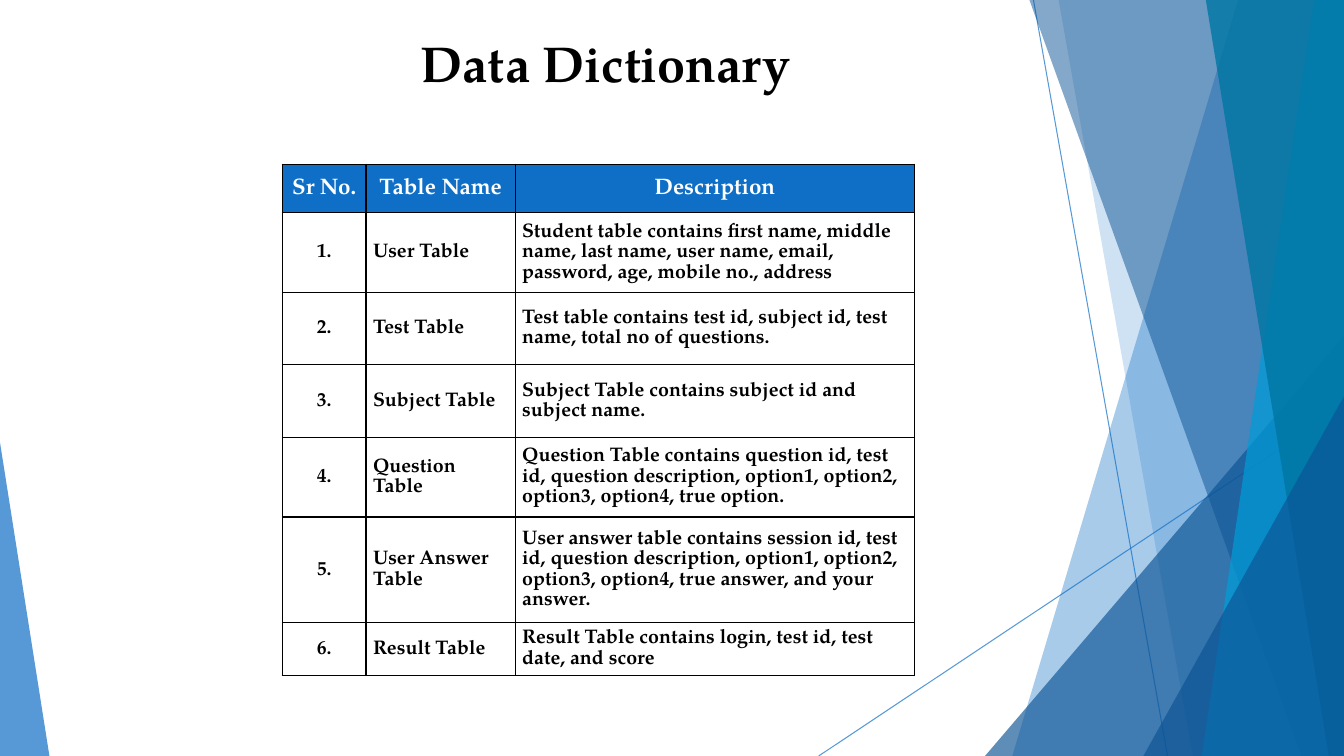
from lxml import etree
from pptx import Presentation
from pptx.dml.color import RGBColor
from pptx.enum import shapes, text
from pptx.oxml import ns
from pptx.util import Inches, Pt

BLUE = RGBColor(0x0F, 0x6F, 0xC6)
NAVY = RGBColor(0x0B, 0x53, 0x94)
CYAN = RGBColor(0x00, 0x9D, 0xD9)
TEAL = RGBColor(0x00, 0x76, 0xA3)
BLACK = RGBColor(0, 0, 0)
WHITE = RGBColor(0xFF, 0xFF, 0xFF)
FONT = "TeX Gyre Pagella"
WIDTH, HEIGHT = 13.33, 7.5


def set_alpha(fill_parent, percent):
    color = fill_parent.find(".//" + ns.qn("a:srgbClr"))
    etree.SubElement(color, ns.qn("a:alpha")).set("val", str(percent * 1000))


def style_text(paragraph, size, color, align):
    paragraph.alignment = align
    paragraph.font.name = FONT
    paragraph.font.size = Pt(size)
    paragraph.font.bold = True
    paragraph.font.color.rgb = color


deck = Presentation()
deck.slide_width, deck.slide_height = Inches(WIDTH), Inches(HEIGHT)
page = deck.slides.add_slide(deck.slide_layouts[5])

for start_x, start_y, end_x in [(10.25, 0, 11.58), (WIDTH, 4.03, 8.12)]:
    line = page.shapes.add_connector(
        shapes.MSO_CONNECTOR.STRAIGHT,
        Inches(start_x), Inches(start_y), Inches(end_x), Inches(HEIGHT))
    line.line.color.rgb = BLUE
    line.line.width = Pt(0.75)
    properties = line._element.spPr
    set_alpha(properties, 70)
    etree.SubElement(properties, ns.qn("a:effectLst"))

facets = [
    ("band", 12.28, 10.04, BLUE, 36),
    ("band", 10.5, 11.83, BLUE, 20),
    ("triangle", 9.77, 3.33, NAVY, 66),
    ("band", 10.21, 12.91, NAVY, 50),
    ("band", 13.03, 11.92, CYAN, 70),
    ("band", 11.96, 13.18, TEAL, 80),
    ("triangle", 11.34, 3.93, NAVY, 66),
    ("left triangle", 0, 4.39, BLUE, 70),
]
for kind, first, second, color, alpha in facets:
    if kind == "band":
        outline = page.shapes.build_freeform(Inches(first), 0)
        outline.add_line_segments([
            (Inches(WIDTH), 0),
            (Inches(WIDTH), Inches(HEIGHT)),
            (Inches(second), Inches(HEIGHT))])
        facet = outline.convert_to_shape()
    else:
        width = 0.49 if kind == "left triangle" else WIDTH - first
        facet = page.shapes.add_shape(
            shapes.MSO_SHAPE.ISOSCELES_TRIANGLE, Inches(first), Inches(second),
            Inches(width), Inches(HEIGHT - second))
        facet.adjustments[0] = 0 if kind == "left triangle" else 1
    facet.shadow.inherit = False
    facet.fill.solid()
    facet.fill.fore_color.rgb = color
    set_alpha(facet._element.spPr, alpha)
    facet.line.fill.background()

title = page.shapes.title
title.left, title.top = Inches(2.92), Inches(0.27)
title.width, title.height = Inches(6.18), Inches(0.71)
title.text_frame.text = "Data Dictionary"
title.text_frame.vertical_anchor = text.MSO_ANCHOR.TOP
style_text(title.text_frame.paragraphs[0], 36, BLACK, text.PP_ALIGN.CENTER)

entries = [
    ("Sr No.", "Table Name", "Description"),
    ("1.", "User Table", "Student table contains first name, middle name, last name, "
     "user name, email, password, age, mobile no., address"),
    ("2.", "Test Table", "Test table contains test id, subject id, test name, "
     "total no of questions."),
    ("3.", "Subject Table", "Subject Table contains subject id and subject name."),
    ("4.", "Question Table", "Question Table contains question id, test id, "
     "question description, option1, option2, option3, option4, true option."),
    ("5.", "User Answer Table", "User answer table contains session id, test id, "
     "question description, option1, option2, option3, option4, true answer, "
     "and your answer."),
    ("6.", "Result Table", "Result Table contains login, test id, test date, and score"),
]
column_widths = [0.83, 1.48, 3.96]
row_heights = [0.48, 0.79, 0.72, 0.72, 0.79, 1.05, 0.52]
table = page.shapes.add_table(
    len(entries), len(column_widths), Inches(2.8), Inches(1.63),
    Inches(sum(column_widths)), Inches(sum(row_heights))).table
for column, width in zip(table.columns, column_widths):
    column.width = Inches(width)

for row_index, (entry, height) in enumerate(zip(entries, row_heights)):
    table.rows[row_index].height = Inches(height)
    is_header = row_index == 0
    for column_index, words in enumerate(entry):
        cell = table.cell(row_index, column_index)
        cell.text = words
        cell.vertical_anchor = text.MSO_ANCHOR.MIDDLE
        cell.margin_left = cell.margin_right = Inches(0.07)
        cell.margin_top = cell.margin_bottom = 0
        paragraph = cell.text_frame.paragraphs[0]
        paragraph.line_spacing = 1.07
        paragraph.space_after = Pt(8)
        centred = is_header or column_index == 0
        style_text(paragraph, 16 if is_header else 14, WHITE if is_header else BLACK,
                   text.PP_ALIGN.CENTER if centred else text.PP_ALIGN.LEFT)
        cell_properties = cell._tc.get_or_add_tcPr()
        for side in ("lnL", "lnR", "lnT", "lnB"):
            border = etree.SubElement(cell_properties, ns.qn("a:" + side), w=str(Pt(1)))
            border_fill = etree.SubElement(border, ns.qn("a:solidFill"))
            etree.SubElement(border_fill, ns.qn("a:srgbClr"), val=str(BLACK))
        cell.fill.solid()
        cell.fill.fore_color.rgb = BLUE if is_header else WHITE

deck.save("out.pptx")
